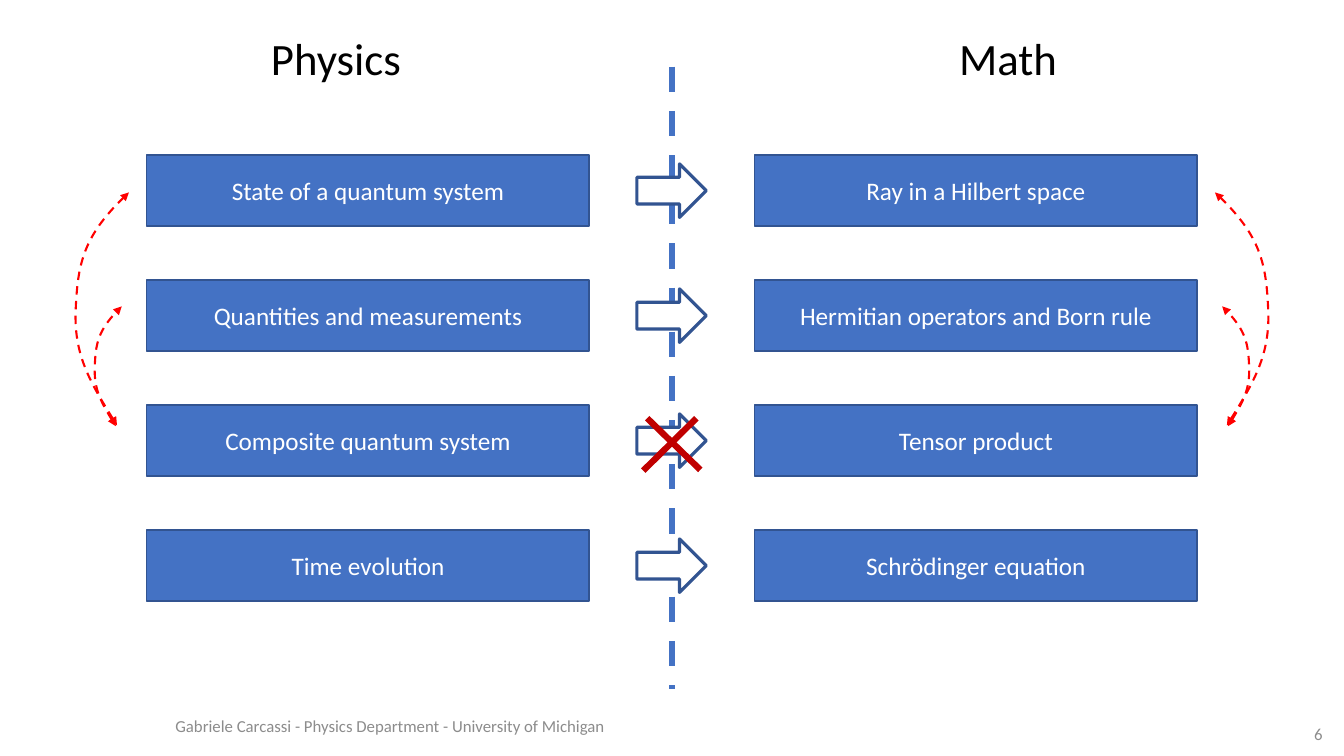
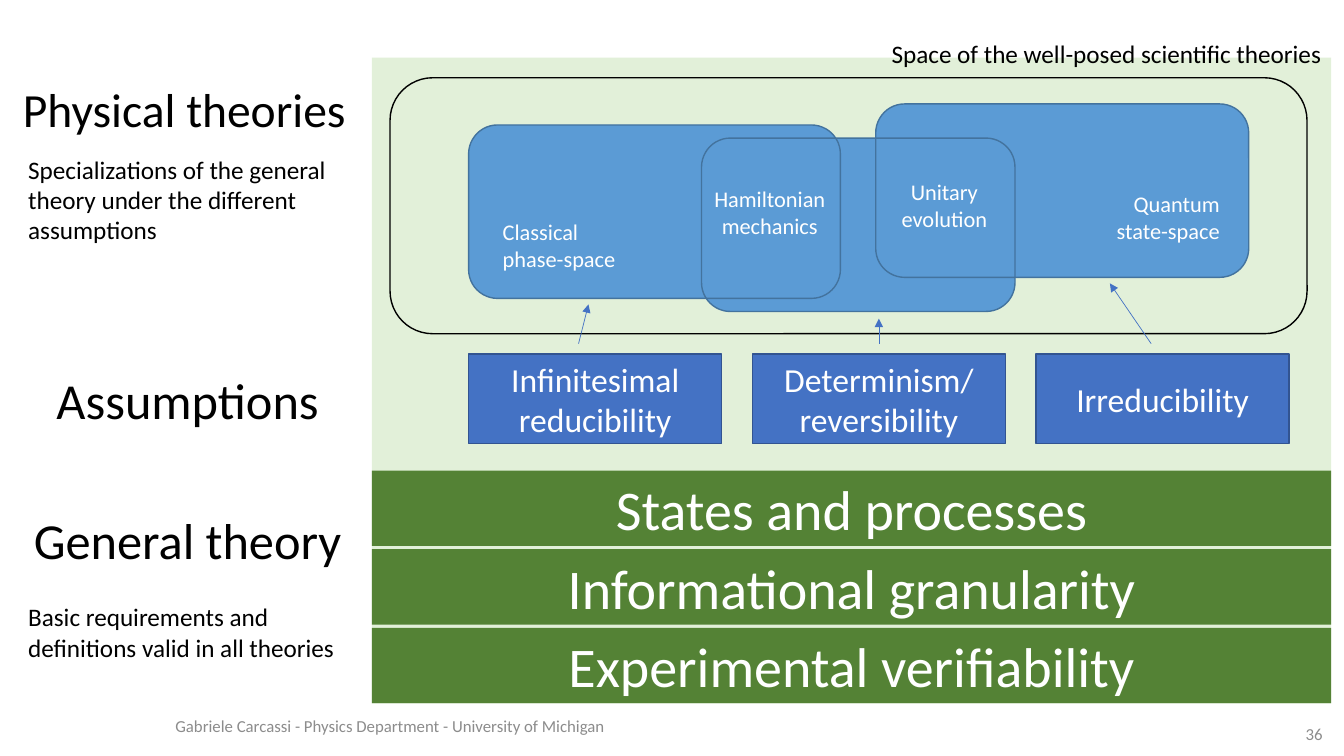
from dataclasses import dataclass

from lxml.etree import SubElement
from pptx import Presentation
from pptx.dml.color import RGBColor
from pptx.enum.dml import MSO_LINE
from pptx.enum.shapes import MSO_CONNECTOR, MSO_SHAPE
from pptx.enum.text import MSO_ANCHOR as Anchor, PP_ALIGN as Align
from pptx.oxml.ns import qn
from pptx.util import Cm, Pt


@dataclass(frozen=True)
class Theme:
    """Font, colours and type sizes shared by all slides."""
    font: str = "Calibri"
    black: str = "000000"
    white: str = "FFFFFF"
    grey: str = "8C8C8C"
    blue: str = "4472C4"
    dark_blue: str = "325491"
    sky: str = "5B9BD5"
    sky_edge: str = "43739E"
    green: str = "548235"
    pale_green: str = "E2F0D9"
    red: str = "FF0000"
    dark_red: str = "C00000"
    small: int = 12
    label: int = 16
    body: int = 18
    box: int = 24
    column: int = 32
    topic: int = 34
    heading: int = 36
    bar: int = 40


theme = Theme()
WIDTH, HEIGHT = 33.87, 19.05


def write(shape, text, size=theme.body, color=theme.black, align=Align.LEFT, anchor=Anchor.TOP):
    """Fill a shape with text, one paragraph per line."""
    frame = shape.text_frame
    frame.word_wrap = True
    frame.vertical_anchor = anchor
    frame.text = text
    for para in frame.paragraphs:
        para.alignment = align
        for span in para.runs:
            span.font.name = theme.font
            span.font.size = Pt(size)
            span.font.color.rgb = RGBColor.from_string(color)


def paint(item, fill=None, stroke=None, weight=1, dashed=False, arrows=()):
    """Set fill, line and arrowheads of a shape or connector, without shadow."""
    if fill:
        item.fill.solid()
        item.fill.fore_color.rgb = RGBColor.from_string(fill)
    elif hasattr(item, "fill"):
        item.fill.background()
    if stroke:
        item.line.color.rgb = RGBColor.from_string(stroke)
        item.line.width = Pt(weight)
    else:
        item.line.fill.background()
    if dashed:
        item.line.dash_style = MSO_LINE.DASH
    properties = item._element.spPr
    for end in arrows:
        SubElement(properties.find(qn("a:ln")), qn(f"a:{end}"), type="triangle")
    SubElement(properties, qn("a:effectLst"))
    return item


deck = Presentation()
deck.slide_width, deck.slide_height = Cm(WIDTH), Cm(HEIGHT)
blank = deck.slide_layouts[6]

# Physics and math side by side
page = deck.slides.add_slide(blank)
shapes = page.shapes
middle = WIDTH / 2
divider = shapes.add_connector(MSO_CONNECTOR.STRAIGHT, Cm(middle), Cm(1.68), Cm(middle), Cm(17.37))
paint(divider, stroke=theme.blue, weight=4.5, dashed=True)

for column, heading in enumerate(("Physics", "Math")):
    box = shapes.add_textbox(Cm(column * middle), Cm(0.64), Cm(middle), Cm(1.63))
    write(box, heading, size=theme.column, align=Align.CENTER)

concepts = (
    ("State of a quantum system", "Ray in a Hilbert space"),
    ("Quantities and measurements", "Hermitian operators and Born rule"),
    ("Composite quantum system", "Tensor product"),
    ("Time evolution", "Schrödinger equation"),
)
for row, pair in enumerate(concepts):
    top = 3.91 + row * 3.15
    for left, concept in zip((3.7, 19.02), pair):
        box = shapes.add_shape(MSO_SHAPE.RECTANGLE, Cm(left), Cm(top), Cm(11.15), Cm(1.79))
        paint(box, theme.blue, theme.dark_blue)
        write(box, concept, color=theme.white, align=Align.CENTER, anchor=Anchor.MIDDLE)
    arrow = shapes.add_shape(MSO_SHAPE.RIGHT_ARROW, Cm(16.05), Cm(top + 0.22), Cm(1.75), Cm(1.35))
    paint(arrow, theme.white, theme.dark_blue, 2.25)

inner_curve = ((2.92, 10.74), (2.59, 10.21), (2.36, 9.8), (2.39, 9.22),
               (2.41, 8.64), (2.51, 8.26), (3.07, 7.72))
outer_curve = ((2.95, 10.72), (2.31, 9.7), (1.85, 8.92), (1.91, 7.77),
               (1.96, 6.63), (2.13, 5.89), (3.25, 4.85))
for mirrored in (False, True):
    for curve in (inner_curve, outer_curve):
        points = [(Cm(WIDTH - x if mirrored else x), Cm(y)) for x, y in curve]
        builder = shapes.build_freeform(*points[0])
        builder.add_line_segments(points[1:], close=False)
        link = builder.convert_to_shape()
        # Each three straight segments become one Bezier segment
        outline = next(link._element.iter(qn("a:path")))
        segments = outline.findall(qn("a:lnTo"))
        for start in (0, 3):
            bezier = SubElement(outline, qn("a:cubicBezTo"))
            for segment in segments[start:start + 3]:
                bezier.append(segment[0])
                outline.remove(segment)
        paint(link, stroke=theme.red, weight=1.5, dashed=True, arrows=("headEnd", "tailEnd"))

for stroke in ((16.31, 10.54, 17.65, 11.84), (16.21, 11.86, 17.55, 10.54)):
    cross = shapes.add_connector(MSO_CONNECTOR.STRAIGHT, *map(Cm, stroke))
    paint(cross, stroke=theme.dark_red, weight=4.5)

# Layers of the general theory
page = deck.slides.add_slide(blank)
shapes = page.shapes
panel_left, panel_width = 9.37, 24.18
panel = shapes.add_shape(MSO_SHAPE.RECTANGLE, Cm(panel_left), Cm(1.45), Cm(panel_width), Cm(16.28))
paint(panel, theme.pale_green)

for row, principle in enumerate(("States and processes", "Informational granularity",
                                 "Experimental verifiability")):
    bar = shapes.add_shape(MSO_SHAPE.RECTANGLE, Cm(panel_left), Cm(11.86 + row * 1.98),
                           Cm(panel_width), Cm(1.9))
    paint(bar, theme.green)
    write(bar, principle, size=theme.bar, color=theme.white, align=Align.CENTER,
          anchor=Anchor.MIDDLE)

determinism = (17.68, 3.48, 7.9, 4.37)
regions = (
    (determinism, theme.sky, None),
    ((11.81, 3.15, 9.37, 4.37), theme.sky, theme.sky_edge),
    ((9.83, 1.96, 23.11, 6.45), None, theme.black),
    ((22.07, 2.62, 9.4, 4.37), theme.sky, theme.sky_edge),
    (determinism, None, theme.sky_edge),
)
for place, fill, edge in regions:
    paint(shapes.add_shape(MSO_SHAPE.ROUNDED_RECTANGLE, *map(Cm, place)), fill, edge)

assumptions = (
    ("Infinitesimal reducibility", (14.58, 8.66, 14.83, 7.67)),
    ("Determinism/\nreversibility", (22.15, 8.66, 22.15, 8.03)),
    ("Irreducibility", (29.01, 8.66, 27.97, 7.14)),
)
for column, (assumption, ends) in enumerate(assumptions):
    box = shapes.add_shape(MSO_SHAPE.RECTANGLE, Cm(11.81 + column * 7.15), Cm(8.92),
                           Cm(6.38), Cm(2.26))
    paint(box, theme.blue, theme.dark_blue)
    write(box, assumption, size=theme.box, color=theme.white, align=Align.CENTER,
          anchor=Anchor.MIDDLE)
    pointer = shapes.add_connector(MSO_CONNECTOR.STRAIGHT, *map(Cm, ends))
    paint(pointer, stroke=theme.blue, weight=0.5, arrows=("tailEnd",))

theory_labels = (
    ("Classical\nphase-space", (12.42, 5.38, 4.65, 1.63), Align.LEFT),
    ("Hamiltonian\nmechanics", (17.65, 4.55, 3.5, 1.63), Align.CENTER),
    ("Unitary\nevolution", (22.05, 4.37, 3.5, 1.63), Align.CENTER),
    ("Quantum\nstate-space", (26.34, 4.67, 4.65, 1.63), Align.RIGHT),
)
for label, place, align in theory_labels:
    write(shapes.add_textbox(*map(Cm, place)), label, size=theme.label, color=theme.white,
          align=align)

side_texts = (
    ("Physical theories", (0.33, 1.9, 8.8, 1.7), theme.topic, Align.LEFT),
    ("Specializations of the general theory under the different assumptions",
     (0.46, 3.76, 8.66, 2.57), theme.body, Align.LEFT),
    ("Assumptions", (0.33, 9.17, 8.8, 1.8), theme.heading, Align.CENTER),
    ("General theory", (0.33, 12.7, 8.8, 1.8), theme.heading, Align.CENTER),
    ("Basic requirements and definitions valid in all theories",
     (0.46, 15.04, 8.66, 1.8), theme.body, Align.LEFT),
    ("Space of the well-posed scientific theories",
     (18.49, 0.84, 15.06, 1.02), theme.body, Align.RIGHT),
)
for text, place, size, align in side_texts:
    write(shapes.add_textbox(*map(Cm, place)), text, size=size, align=align)

# Footer and number on every slide
for page, number in zip(deck.slides, ("6", "36")):
    footer = page.shapes.add_textbox(Cm(4.17), Cm(17.78), Cm(16.59), Cm(1.02))
    write(footer, "Gabriele Carcassi - Physics Department - University of Michigan",
          size=theme.small, color=theme.grey, anchor=Anchor.MIDDLE)
    counter = page.shapes.add_textbox(Cm(32.03), Cm(18.16), Cm(1.55), Cm(0.64))
    write(counter, number, size=theme.small, color=theme.grey, align=Align.RIGHT,
          anchor=Anchor.MIDDLE)

deck.save("out.pptx")
